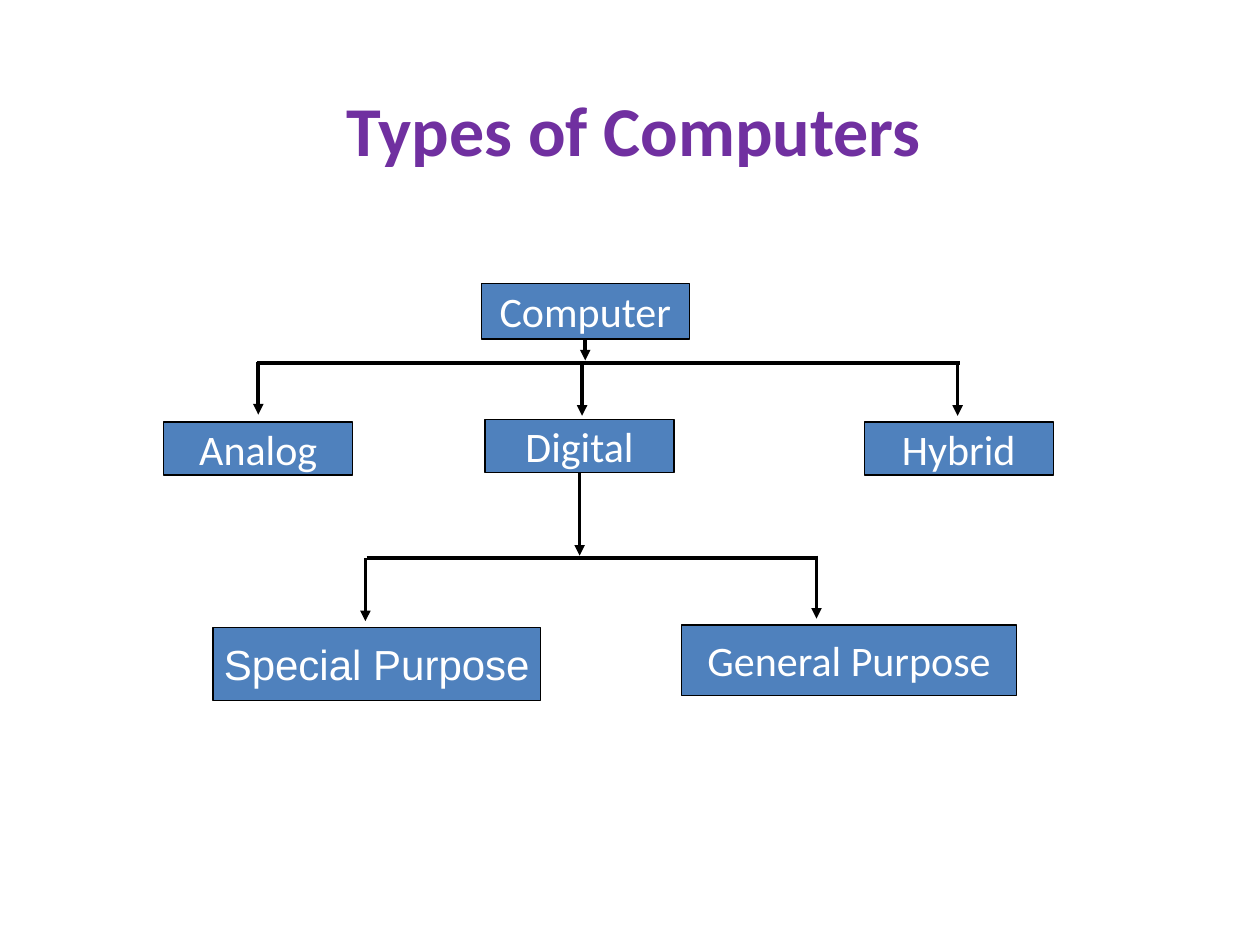
from dataclasses import dataclass
from typing import Optional

from lxml import etree
from pptx import Presentation
from pptx.dml.color import RGBColor
from pptx.enum.shapes import MSO_CONNECTOR, MSO_SHAPE
from pptx.enum.text import MSO_ANCHOR, PP_ALIGN
from pptx.oxml.ns import qn
from pptx.shapes.autoshape import Shape
from pptx.shapes.connector import Connector
from pptx.slide import Slide
from pptx.text.text import TextFrame
from pptx.util import Inches, Pt

RECT = MSO_SHAPE.RECTANGLE
STRAIGHT = MSO_CONNECTOR.STRAIGHT
MIDDLE = MSO_ANCHOR.MIDDLE
CENTER = PP_ALIGN.CENTER
BOTTOM = 2


@dataclass(frozen=True)
class Theme:
    title: RGBColor = RGBColor(0x70, 0x30, 0xA0)
    fill: RGBColor = RGBColor(0x4F, 0x81, 0xBD)
    line: RGBColor = RGBColor(0, 0, 0)
    text: RGBColor = RGBColor(255, 255, 255)
    font: str = "Calibri"
    title_size: Pt = Pt(40)
    box_size: Pt = Pt(24)
    border: Pt = Pt(0.75)
    stroke: Pt = Pt(2)


@dataclass(frozen=True)
class Box:
    text: str
    left: float
    top: float
    width: float
    height: float
    font: str = "Calibri"

    @property
    def mid(self) -> float:
        return self.left + self.width / 2


@dataclass(frozen=True)
class Line:
    x1: float
    y1: float
    x2: float
    y2: float
    arrow: bool = True
    source: Optional[str] = None


THEME = Theme()

ROOT = Box("Computer", 3.82, 2.25, 1.65, 0.44)
DIGITAL = Box("Digital", 3.85, 3.33, 1.5, 0.42)
BOXES = [
    ROOT,
    Box("Analog", 1.3, 3.35, 1.5, 0.42),
    DIGITAL,
    Box("Hybrid", 6.86, 3.35, 1.5, 0.42),
    Box("Special Purpose", 1.69, 4.98, 2.6, 0.58, "Arial"),
    Box("General Purpose", 5.41, 4.96, 2.66, 0.56),
]

LINES = [
    Line(2.04, 2.88, 7.62, 2.88, arrow=False),
    Line(2.91, 4.43, 6.49, 4.43, arrow=False),
    Line(ROOT.mid, 2.69, ROOT.mid, 2.86, source=ROOT.text),
    Line(4.62, 2.89, 4.62, 3.3),
    Line(2.05, 2.87, 2.05, 3.29),
    Line(7.6, 2.89, 7.6, 3.3),
    Line(2.9, 4.43, 2.9, 4.93),
    Line(6.48, 4.41, 6.48, 4.91),
    Line(DIGITAL.mid, 3.75, DIGITAL.mid, 4.41, source=DIGITAL.text),
]


def write(frame: TextFrame, text: str, name: str, size: Pt,
          color: RGBColor, bold: bool = False) -> None:
    frame.text = text
    frame.vertical_anchor = MIDDLE
    para = frame.paragraphs[0]
    para.alignment = CENTER
    font = para.runs[0].font
    font.name = name
    font.size = size
    font.bold = bold
    font.color.rgb = color


def draw_title(slide: Slide, text: str) -> None:
    box = slide.shapes.add_textbox(
        Inches(0.81), Inches(0.44), Inches(8.44), Inches(1.16))
    box.text_frame.word_wrap = True
    write(box.text_frame, text, THEME.font, THEME.title_size,
          THEME.title, bold=True)


def draw_box(slide: Slide, box: Box) -> Shape:
    shape = slide.shapes.add_shape(
        RECT, Inches(box.left), Inches(box.top),
        Inches(box.width), Inches(box.height))
    shape.shadow.inherit = False
    shape.fill.solid()
    shape.fill.fore_color.rgb = THEME.fill
    shape.line.color.rgb = THEME.line
    shape.line.width = THEME.border
    shape.text_frame.word_wrap = False
    write(shape.text_frame, box.text, box.font, THEME.box_size, THEME.text)
    return shape


def draw_line(slide: Slide, line: Line, shapes: dict[str, Shape]) -> Connector:
    link = slide.shapes.add_connector(
        STRAIGHT, Inches(line.x1), Inches(line.y1),
        Inches(line.x2), Inches(line.y2))
    link.line.color.rgb = THEME.line
    link.line.width = THEME.stroke
    if line.arrow:
        stroke = link.line._get_or_add_ln()
        etree.SubElement(stroke, qn("a:tailEnd"), type="triangle")
    etree.SubElement(link._element.spPr, qn("a:effectLst"))
    if line.source:
        link.begin_connect(shapes[line.source], BOTTOM)
    return link


def main() -> None:
    deck = Presentation()
    deck.slide_width = Inches(10)
    deck.slide_height = Inches(7.5)
    slide = deck.slides.add_slide(deck.slide_layouts[6])
    draw_title(slide, "Types of Computers")
    shapes = {box.text: draw_box(slide, box) for box in BOXES}
    for line in LINES:
        draw_line(slide, line, shapes)
    deck.save("out.pptx")


if __name__ == "__main__":
    main()
